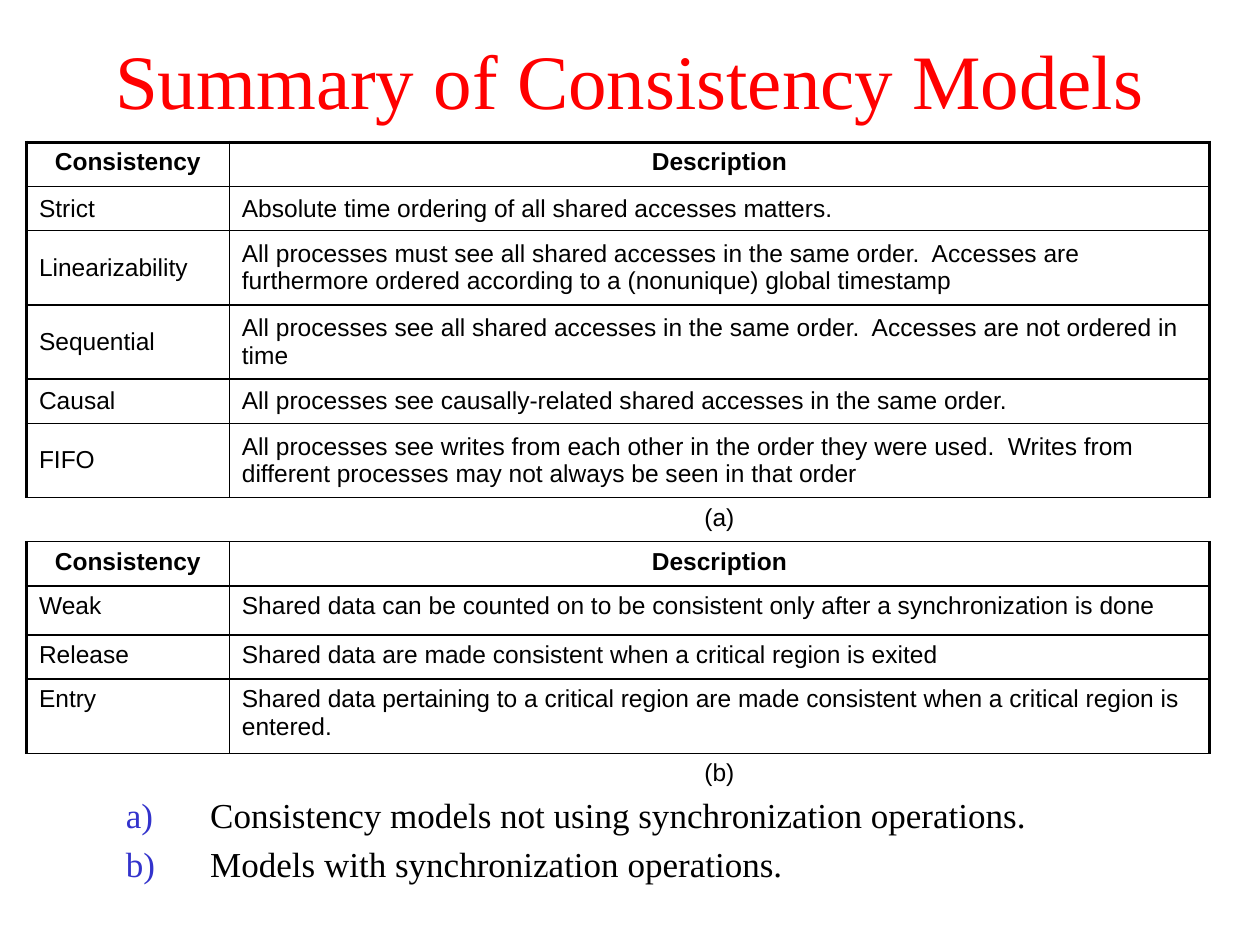
from lxml.etree import SubElement
from pptx import Presentation
from pptx.dml.color import RGBColor
from pptx.enum.text import MSO_ANCHOR, PP_ALIGN
from pptx.oxml.ns import qn
from pptx.util import Inches, Pt

COLORS = {"title": "FF0000", "text": "000000", "number": "3333CC", "border": "000000"}
SERIF, SANS = "Times New Roman", "Arial"
THIN, THICK = 1, 2.25

HEADER = ("Consistency", "Description")
UNSYNCHRONIZED = [
    ("Strict", "Absolute time ordering of all shared accesses matters.", 0.35),
    ("Linearizability", "All processes must see all shared accesses in the same order.  Accesses are "
     "furthermore ordered according to a (nonunique) global timestamp", 0.59),
    ("Sequential", "All processes see all shared accesses in the same order.  "
     "Accesses are not ordered in time", 0.59),
    ("Causal", "All processes see causally-related shared accesses in the same order.", 0.35),
    ("FIFO", "All processes see writes from each other in the order they were used.  "
     "Writes from different processes may not always be seen in that order", 0.59),
]
SYNCHRONIZED = [
    ("Weak", "Shared data can be counted on to be consistent only after a synchronization is done", 0.39),
    ("Release", "Shared data are made consistent when a critical region is exited", 0.35),
    ("Entry", "Shared data pertaining to a critical region are made consistent when "
     "a critical region is entered.", 0.59),
]
SECTIONS = [
    (UNSYNCHRONIZED, "(a)", MSO_ANCHOR.MIDDLE),
    (SYNCHRONIZED, "(b)", MSO_ANCHOR.TOP),
]
LEGEND = ["Consistency models not using synchronization operations.",
          "Models with synchronization operations."]


class SlideBuilder:
    def __init__(self, slide):
        self.slide = slide

    def run(self, paragraph, text, size, font, color="text", bold=False):
        run = paragraph.add_run()
        run.text = text
        run.font.size = Pt(size)
        run.font.name = font
        run.font.bold = bold
        run.font.color.rgb = RGBColor.from_string(COLORS[color])

    def text_frame(self, left, top, width, height, anchor=MSO_ANCHOR.TOP):
        box = self.slide.shapes.add_textbox(Inches(left), Inches(top), Inches(width), Inches(height))
        box.text_frame.word_wrap = True
        box.text_frame.vertical_anchor = anchor
        return box.text_frame

    def title(self, text):
        heading = self.text_frame(0, 0, 10, 1.25, MSO_ANCHOR.MIDDLE).paragraphs[0]
        heading.alignment = PP_ALIGN.CENTER
        self.run(heading, text, 44, SERIF, "title")

    def lettered_list(self, items, left, top, width, height):
        frame = self.text_frame(left, top, width, height)
        for index, item in enumerate(items):
            entry = frame.add_paragraph() if index else frame.paragraphs[0]
            entry.space_before = Pt(4 if index else 0)
            properties = entry._p.get_or_add_pPr()
            properties.set("marL", str(Inches(0.67)))
            properties.set("indent", str(-Inches(0.67)))
            number_color = SubElement(properties, qn("a:buClr"))
            SubElement(number_color, qn("a:srgbClr"), val=COLORS["number"])
            SubElement(properties, qn("a:buFont"), typeface=SERIF)
            SubElement(properties, qn("a:buAutoNum"), type="alphaLcParenR")
            self.run(entry, item, 20, SERIF)

    def borders(self, cell, left, right, top, bottom):
        properties = cell._tc.get_or_add_tcPr()
        for side, width in zip("LRTB", (left, right, top, bottom)):
            line = SubElement(properties, qn(f"a:ln{side}"), w=str(Pt(width)))
            if width:
                fill = SubElement(line, qn("a:solidFill"))
                SubElement(fill, qn("a:srgbClr"), val=COLORS["border"])
            else:
                SubElement(line, qn("a:noFill"))

    def cell(self, cell, text, edges, anchor=MSO_ANCHOR.TOP, centered=False, bold=False):
        self.borders(cell, *edges)
        cell.fill.background()
        cell.margin_left = cell.margin_right = Inches(0.1)
        cell.margin_top = cell.margin_bottom = Inches(0.05)
        cell.vertical_anchor = anchor
        content = cell.text_frame.paragraphs[0]
        content.alignment = PP_ALIGN.CENTER if centered else PP_ALIGN.LEFT
        if text:
            self.run(content, text, 14, SANS, bold=bold)
        else:
            SubElement(content._p, qn("a:endParaRPr"), sz="1400")

    def table(self, sections, left, top, column_widths):
        rows = []
        for models, caption, anchor in sections:
            rows.append((HEADER, 0.35, MSO_ANCHOR.TOP, "header"))
            rows += [((name, description), height, anchor, "model")
                     for name, description, height in models]
            rows.append((("", caption), 0.35, MSO_ANCHOR.TOP, "caption"))
        table = self.slide.shapes.add_table(
            len(rows), len(column_widths), Inches(left), Inches(top),
            Inches(sum(column_widths)), Inches(sum(row[1] for row in rows))).table
        table.first_row = table.horz_banding = False
        for column, width in zip(table.columns, column_widths):
            column.width = Inches(width)
        for r, (texts, height, anchor, role) in enumerate(rows):
            table.rows[r].height = Inches(height)
            upper = THIN if r else THICK
            lower = THIN if r < len(rows) - 1 else 0
            for c, text in enumerate(texts):
                sides = (THIN, THICK) if c else (THICK, THIN)
                if role == "caption":
                    sides = (0, 0)
                self.cell(table.cell(r, c), text, (*sides, upper, lower), anchor,
                          role != "model", role == "header")


def main():
    presentation = Presentation()
    presentation.slide_width = Inches(10)
    presentation.slide_height = Inches(7.5)
    builder = SlideBuilder(presentation.slides.add_slide(presentation.slide_layouts[6]))
    builder.title("Summary of Consistency Models")
    builder.lettered_list(LEGEND, 0.9, 6.25, 9.1, 0.92)
    builder.table(SECTIONS, 0.21, 1.13, (1.61, 7.78))
    presentation.save("out.pptx")


if __name__ == "__main__":
    main()
